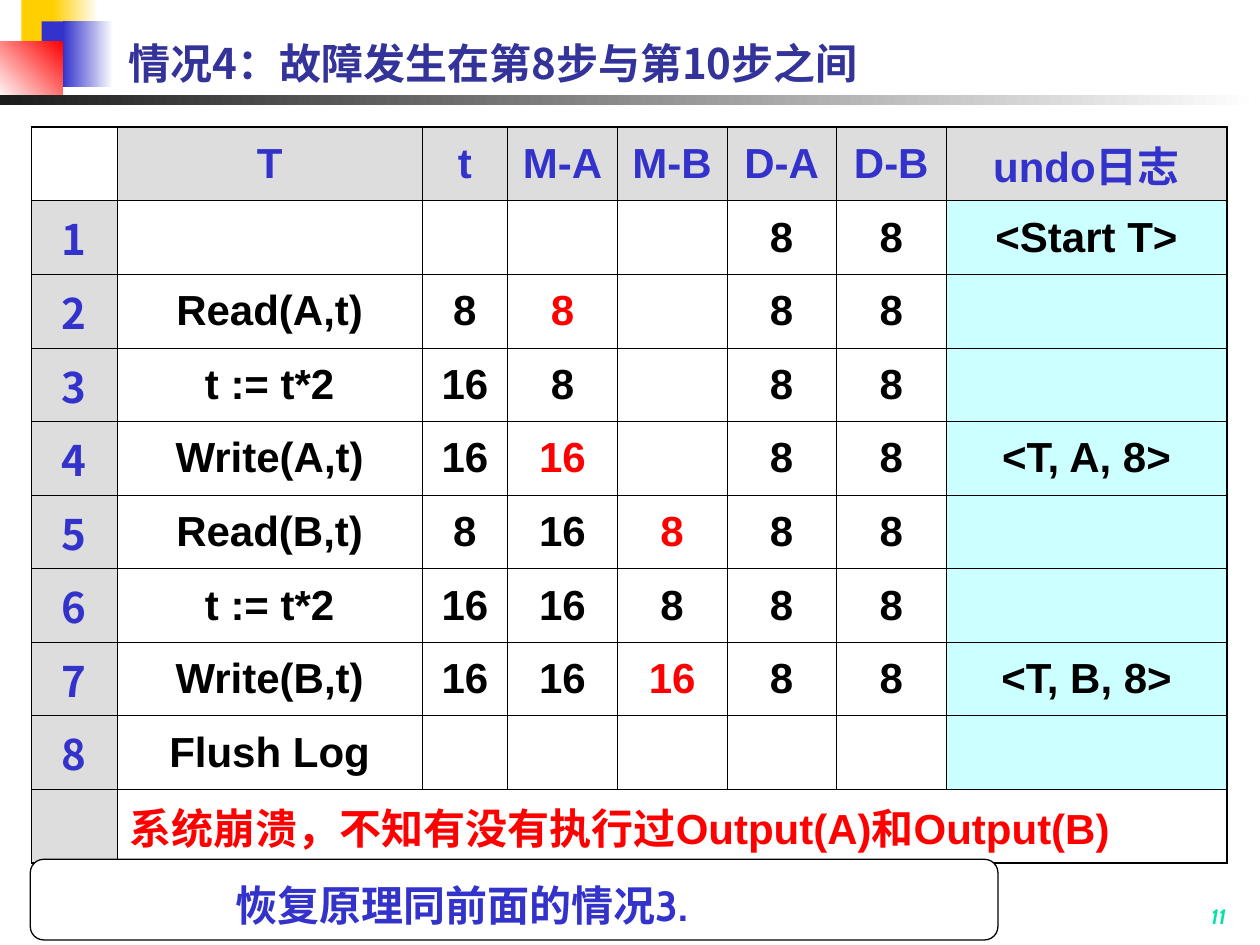
from lxml import etree
from pptx import Presentation
from pptx.dml.color import RGBColor
from pptx.enum.shapes import MSO_SHAPE as Shape
from pptx.enum.text import MSO_ANCHOR as Anchor, MSO_AUTO_SIZE as AutoSize, PP_ALIGN as Align
from pptx.oxml.ns import qn
from pptx.util import Inches, Pt

COLORS = {
    "white": "FFFFFF", "black": "000000", "yellow": "FFCF01", "blue": "3333CC",
    "navy": "333399", "red": "FF0000", "charcoal": "1C1C1C", "gray": "DDDDDD",
    "cyan": "CCFFFF", "green": "00E4A8",
}
CJK_FONT = "Noto Sans CJK SC"


def write_text(frame, text, color="black", font="Arial", size=24, italic=False,
               align=Align.LEFT, anchor=Anchor.MIDDLE, before=0):
    frame.word_wrap = True
    frame.vertical_anchor = anchor
    paragraph = frame.paragraphs[0]
    paragraph.alignment = align
    paragraph.space_before = Pt(before)
    run = paragraph.add_run()
    run.text = text
    run.font.name = font
    run.font.size = Pt(size)
    run.font.bold = True
    run.font.italic = italic
    run.font.color.rgb = RGBColor.from_string(COLORS[color])
    east_asian = etree.SubElement(run._r.get_or_add_rPr(), qn("a:ea"))
    east_asian.set("typeface", CJK_FONT)
    return paragraph


def set_borders(cell, widths):
    """Give the cell black borders; widths maps L, R, T, B to points."""
    properties = cell._tc.get_or_add_tcPr()
    for side, width in widths.items():
        line = etree.SubElement(properties, qn(f"a:ln{side}"), w=str(Pt(width)))
        fill = etree.SubElement(line, qn("a:solidFill"))
        etree.SubElement(fill, qn("a:srgbClr"), val=COLORS["black"])


presentation = Presentation()
presentation.slide_width = Inches(10)
presentation.slide_height = Inches(7.5)
slide = presentation.slides.add_slide(presentation.slide_layouts[5])

# Corner blocks and the rule under the title: left, top, width, height, colors, angle
decorations = [
    (0.17, 0, 0.48, 0.52, ["yellow"], 0),
    (0.42, 0, 0.36, 0.52, ["white", "yellow"], 180),
    (0.33, 0.17, 0.46, 0.52, ["blue"], 0),
    (0.5, 0.17, 0.4, 0.52, ["white", "blue"], 180),
    (0, 0.33, 0.5, 0.46, ["red", "white"], 225),
    (0, 0.75, 10, 0.08, ["white", "charcoal"], 180),
]
for *box, names, angle in decorations:
    block = slide.shapes.add_shape(Shape.RECTANGLE, *map(Inches, box))
    block.shadow.inherit = False
    block.line.fill.background()
    if len(names) == 1:
        block.fill.solid()
        block.fill.fore_color.rgb = RGBColor.from_string(COLORS[names[0]])
    else:
        block.fill.gradient()
        block.fill.gradient_angle = angle
        for stop, name in zip(block.fill.gradient_stops, names):
            stop.color.rgb = RGBColor.from_string(COLORS[name])

title = slide.shapes.title
title.left, title.top = Inches(0.92), Inches(0.17)
title.width, title.height = Inches(8.52), Inches(0.58)
title.text_frame.auto_size = AutoSize.NONE
write_text(title.text_frame, "情况4：故障发生在第8步与第10步之间", color="navy",
           font=CJK_FONT, anchor=Anchor.BOTTOM)

rows = [
    ["", "T", "t", "M-A", "M-B", "D-A", "D-B", "undo日志"],
    ["1", "", "", "", "", "8", "8", "<Start T>"],
    ["2", "Read(A,t)", "8", "8", "", "8", "8", ""],
    ["3", "t := t*2", "16", "8", "", "8", "8", ""],
    ["4", "Write(A,t)", "16", "16", "", "8", "8", "<T, A, 8>"],
    ["5", "Read(B,t)", "8", "16", "8", "8", "8", ""],
    ["6", "t := t*2", "16", "16", "8", "8", "8", ""],
    ["7", "Write(B,t)", "16", "16", "16", "8", "8", "<T, B, 8>"],
    ["8", "Flush Log", "", "", "", "", "", ""],
    ["", "系统崩溃，不知有没有执行过Output(A)和Output(B)", "", "", "", "", "", ""],
]
column_widths = [0.68, 2.42, 0.68, 0.87, 0.87, 0.87, 0.87, 2.23]
changed_cells = {(2, 3), (4, 3), (5, 4), (7, 4)}
last_row, last_column = len(rows) - 1, len(column_widths) - 1
thin, thick = 0.45, 1.08

table = slide.shapes.add_table(len(rows), len(column_widths), Inches(0.25), Inches(1.01),
                               Inches(9.5), Inches(5.84)).table
table.first_row = table.horz_banding = False
for column, width in zip(table.columns, column_widths):
    column.width = Inches(width)
table.cell(last_row, 1).merge(table.cell(last_row, last_column))

for r, row in enumerate(rows):
    for c, text in enumerate(row):
        cell = table.cell(r, c)
        in_message = r == last_row and c > 0
        set_borders(cell, {
            "L": thick if c == 0 else thin,
            "R": thick if c == last_column or in_message else thin,
            "T": thick if r == 0 else thin,
            "B": thick if r == last_row else thin,
        })
        is_heading = (r == 0) != (c == 0)
        if is_heading:
            fill = "gray"
        elif c == last_column and not in_message:
            fill = "cyan"
        else:
            fill = None
        if fill:
            cell.fill.solid()
            cell.fill.fore_color.rgb = RGBColor.from_string(COLORS[fill])
        else:
            cell.fill.background()
        if text:
            is_red = in_message or (r, c) in changed_cells
            write_text(cell.text_frame, text,
                       color="blue" if is_heading else "red" if is_red else "black",
                       font=CJK_FONT if c == 0 else "Arial",
                       align=Align.LEFT if in_message else Align.CENTER, before=6)
            cell.vertical_anchor = Anchor.MIDDLE

note = slide.shapes.add_shape(Shape.FLOWCHART_ALTERNATE_PROCESS, Inches(0.24), Inches(6.82),
                              Inches(7.68), Inches(0.64))
note.shadow.inherit = False
note.fill.solid()
note.fill.fore_color.rgb = RGBColor.from_string(COLORS["white"])
note.line.color.rgb = RGBColor.from_string(COLORS["black"])
note.line.width = Pt(0.75)
note_paragraph = write_text(note.text_frame, "恢复原理同前面的情况3.", color="blue",
                            font="Cabin", anchor=Anchor.TOP, before=15)
note_paragraph.line_spacing = 1.2
note_paragraph._p.get_or_add_pPr().set("marL", str(Inches(1.5)))

page_number = slide.shapes.add_textbox(Inches(7.75), Inches(7.17), Inches(2.08), Inches(0.25))
write_text(page_number.text_frame, "11", color="green", font="Cabin", size=12, italic=True,
           align=Align.RIGHT, anchor=Anchor.BOTTOM)

presentation.save("out.pptx")
